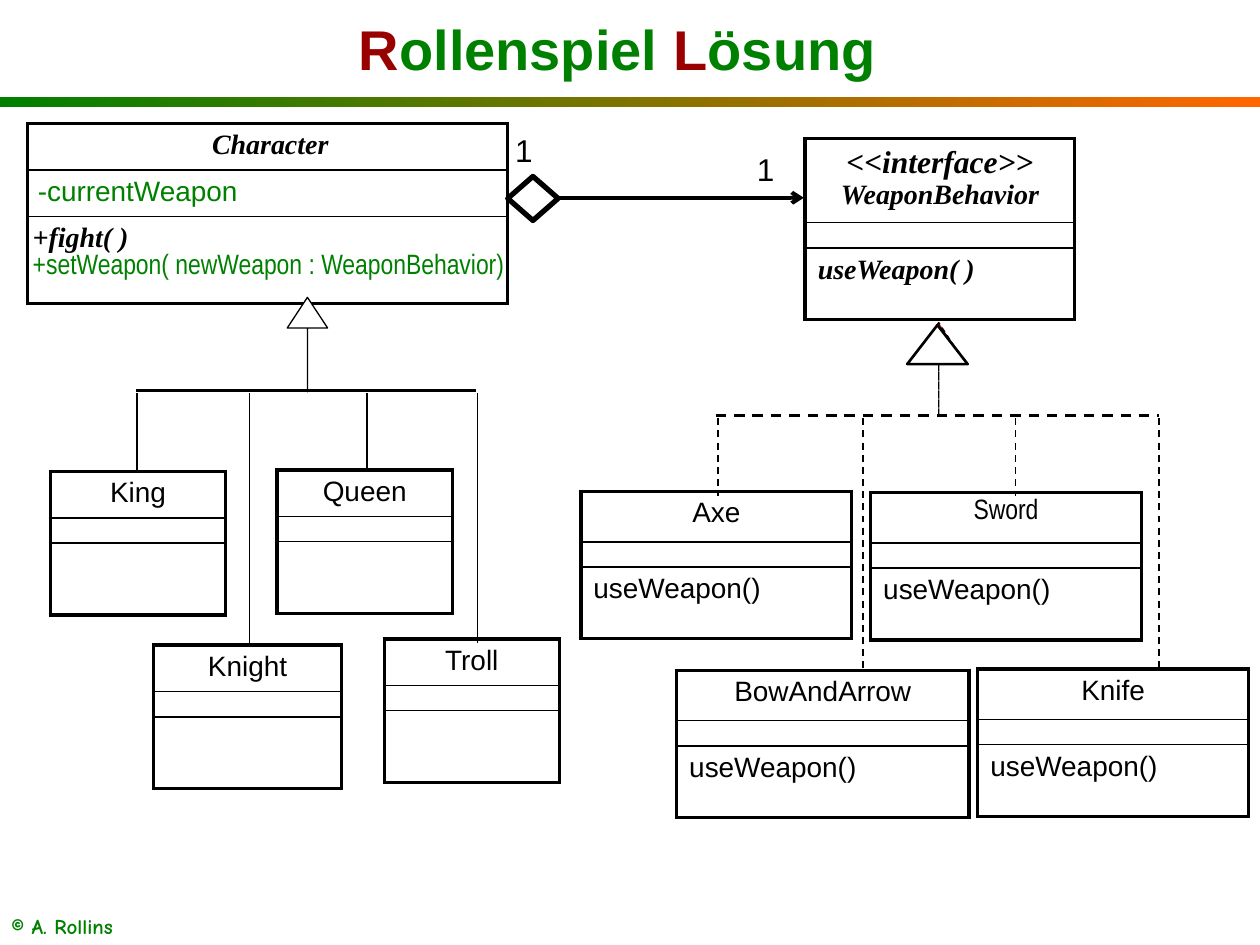
from dataclasses import dataclass

from lxml import etree
from pptx import Presentation
from pptx.dml.color import RGBColor
from pptx.enum import dml, shapes, text
from pptx.oxml.ns import qn
from pptx.util import Inches, Pt


@dataclass(frozen=True)
class Theme:
    black: str = "000000"
    white: str = "FFFFFF"
    green: str = "008000"
    orange: str = "FF6600"
    dark: str = "990000"
    red: str = "CC0000"
    sans: str = "Arial"
    thin: str = "Arial Narrow"
    serif: str = "Times New Roman"
    hand: str = "Comic Neue"
    title: int = 32
    large: int = 18
    body: int = 16
    note: int = 12
    tiny: int = 8
    frame: float = 2.25
    rule: float = 1


T = Theme()


@dataclass(frozen=True)
class Line:
    words: str
    font: str = T.sans
    size: int = T.body
    color: str = T.black
    bold: bool = False
    slant: bool = False


@dataclass(frozen=True)
class Box:
    """A UML class: one tuple of lines and one pair of side margins per row."""
    left: float
    top: float
    width: float
    rows: tuple[float, ...]
    cells: tuple[tuple[Line, ...], ...]
    sides: tuple[tuple[float, float], ...] = ((0.1, 0.1),) * 3


@dataclass(frozen=True)
class Tree:
    """Inheritance lines: a bar with drops, each an x and a lower end."""
    left: float
    right: float
    bar: float
    drops: tuple[tuple[float, float], ...]
    dash: bool = False


def rgb(code: str) -> RGBColor:
    return RGBColor.from_string(code)


def style(font, line: Line) -> None:
    font.name, font.size = line.font, Pt(line.size)
    font.bold, font.italic = line.bold, line.slant
    font.color.rgb = rgb(line.color)


def write(frame, lines: tuple[Line, ...], align=text.PP_ALIGN.LEFT) -> None:
    for i, line in enumerate(lines):
        para = frame.paragraphs[0] if i == 0 else frame.add_paragraph()
        para.text = line.words
        para.alignment = align
        style(para.font, line)


def edge(cell, side: str, width: float) -> None:
    ln = etree.SubElement(cell._tc.get_or_add_tcPr(), qn(f"a:ln{side}"), w=str(Pt(width)))
    fill = etree.SubElement(ln, qn("a:solidFill"))
    etree.SubElement(fill, qn("a:srgbClr"), val=T.black)


def draw_box(slide, box: Box) -> None:
    table = slide.shapes.add_table(
        len(box.rows), 1, Inches(box.left), Inches(box.top),
        Inches(box.width), Inches(sum(box.rows))).table
    table.first_row = table.horz_banding = False
    last = len(box.rows) - 1
    for i, (high, lines, sides) in enumerate(zip(box.rows, box.cells, box.sides)):
        table.rows[i].height = Inches(high)
        cell = table.cell(i, 0)
        cell.margin_left, cell.margin_right = map(Inches, sides)
        for side, width in (("L", T.frame), ("R", T.frame),
                            ("T", T.rule if i else T.frame),
                            ("B", T.frame if i == last else T.rule)):
            edge(cell, side, width)
        cell.fill.background()
        if lines:
            write(cell.text_frame, lines,
                  text.PP_ALIGN.LEFT if i else text.PP_ALIGN.CENTER)
        else:
            cell.margin_top = cell.margin_bottom = 0
            para = cell.text_frame.paragraphs[0]._p
            etree.SubElement(para, qn("a:endParaRPr"), sz=str(T.tiny * 100))


def draw_line(slide, x1: float, y1: float, x2: float, y2: float, width: float,
              dash: bool = False, arrow: bool = False) -> None:
    link = slide.shapes.add_connector(
        shapes.MSO_CONNECTOR.STRAIGHT, *map(Inches, (x1, y1, x2, y2)))
    link.line.color.rgb = rgb(T.black)
    link.line.width = Pt(width)
    if dash:
        link.line.dash_style = dml.MSO_LINE.DASH
    if arrow:
        etree.SubElement(link.line._get_or_add_ln(), qn("a:tailEnd"), type="arrow")
    etree.SubElement(link._element.spPr, qn("a:effectLst"))


def draw_tree(slide, tree: Tree) -> None:
    draw_line(slide, tree.left, tree.bar, tree.right, tree.bar, 1.5, tree.dash)
    for x, end in tree.drops:
        draw_line(slide, x, tree.bar + 0.02, x, end, T.rule, tree.dash)


def draw_shape(slide, kind, at: tuple[float, ...], fill: str, width: float,
               dash: bool = False):
    shape = slide.shapes.add_shape(kind, *map(Inches, at))
    shape.shadow.inherit = False
    shape.fill.solid()
    shape.fill.fore_color.rgb = rgb(fill)
    shape.line.color.rgb = rgb(T.black)
    shape.line.width = Pt(width)
    if dash:
        shape.line.dash_style = dml.MSO_LINE.DASH
    return shape


def draw_arrow(slide, at: tuple[float, ...], fill: str, dash: bool = False) -> None:
    arrow = draw_shape(slide, shapes.MSO_SHAPE.UP_ARROW, at, fill, 0.75, dash)
    arrow.adjustments[0], arrow.adjustments[1] = 0, 0.76


def draw_text(slide, at: tuple[float, ...], line: Line, left: float = 0.1) -> None:
    frame = slide.shapes.add_textbox(*map(Inches, at)).text_frame
    frame.word_wrap = True
    frame.margin_left = Inches(left)
    write(frame, (line,))


def draw_head(slide) -> None:
    band = draw_shape(slide, shapes.MSO_SHAPE.RECTANGLE, (0, 0.77, 10, 0.08), T.green, 1)
    band.line.fill.background()
    band.fill.gradient()
    band.fill.gradient_angle = 0
    for stop, color, place in zip(band.fill.gradient_stops, (T.green, T.orange), (0, 1)):
        stop.color.rgb, stop.position = rgb(color), place
    title = slide.shapes.title
    title.left, title.top, title.width, title.height = map(Inches, (0.65, 0, 8.5, 0.77))
    title.text_frame.vertical_anchor = text.MSO_ANCHOR.MIDDLE
    para = title.text_frame.paragraphs[0]
    para.alignment = text.PP_ALIGN.CENTER
    for words, color in (("R", T.dark), ("ollenspiel ", T.green),
                         ("L", T.dark), ("ösung", T.green)):
        run = para.add_run()
        run.text = words
        style(run.font, Line(words, size=T.title, color=color, bold=True))


def serif(words: str, size: int = T.body) -> Line:
    return Line(words, T.serif, size, bold=True, slant=True)


def main() -> None:
    deck = Presentation()
    deck.slide_width, deck.slide_height = Inches(10), Inches(7.5)
    slide = deck.slides.add_slide(deck.slide_layouts[5])
    draw_head(slide)
    draw_text(slide, (0.09, 7.2, 1.5, 0.25),
              Line("© A. Rollins", T.hand, T.note, T.green, True), 0)

    hero = Box(0.22, 0.98, 3.81, (0.37, 0.37, 0.69), (
        (serif("Character"),),
        (Line("-currentWeapon", color=T.green),),
        (serif("+fight( )"),
         Line("+setWeapon( newWeapon : WeaponBehavior)", T.thin, color=T.green)),
    ), ((0.08, 0.04), (0.08, 0.04), (0.04, 0)))
    role = Box(6.39, 1.1, 2.14, (0.62, 0.2, 0.57), (
        (serif("<<interface>>", T.large), serif("WeaponBehavior")),
        (), (serif("useWeapon( )"),)))
    heroes = [Box(x, y, w, (0.37, 0.2, 0.57), ((Line(name),), (), ()))
              for name, x, y, w in (("Troll", 3.05, 5.07, 1.39), ("Queen", 2.2, 3.73, 1.39),
                                    ("King", 0.4, 3.74, 1.39), ("Knight", 1.22, 5.12, 1.49))]
    arms = [Box(x, y, w, (0.4, 0.2, 0.57), ((Line(name, font),), (), (Line("useWeapon()"),)))
            for name, font, x, y, w in (
                ("Knife", T.sans, 7.76, 5.31, 2.15), ("Sword", T.thin, 6.91, 3.91, 2.15),
                ("Axe", T.sans, 4.61, 3.9, 2.15), ("BowAndArrow", T.sans, 5.37, 5.32, 2.32))]
    for box in (hero, *heroes, role, *arms):
        draw_box(slide, box)

    draw_arrow(slide, (2.28, 2.36, 0.32, 0.75), T.white)
    draw_tree(slide, Tree(1.08, 3.78, 3.1, (
        (1.09, 3.73), (2.91, 3.73), (1.98, 5.1), (3.79, 5.1))))
    draw_line(slide, 4.02, 1.57, 6.38, 1.57, T.frame, arrow=True)
    draw_shape(slide, shapes.MSO_SHAPE.DIAMOND, (4.03, 1.4, 0.4, 0.35), T.white, 3)
    draw_arrow(slide, (7.24, 2.56, 0.42, 0.75), T.red, True)
    draw_tree(slide, Tree(5.68, 9.2, 3.3, (
        (5.7, 3.94), (8.06, 3.94), (6.85, 5.3), (9.2, 5.3)), True))
    draw_shape(slide, shapes.MSO_SHAPE.ISOSCELES_TRIANGLE, (7.2, 2.58, 0.48, 0.31), T.white, 1.5)
    for x, y in ((5.91, 1.14), (3.99, 0.99)):
        draw_text(slide, (x, y, 0.36, 0.4), Line("1", size=T.large))
    deck.save("out.pptx")


if __name__ == "__main__":
    main()
